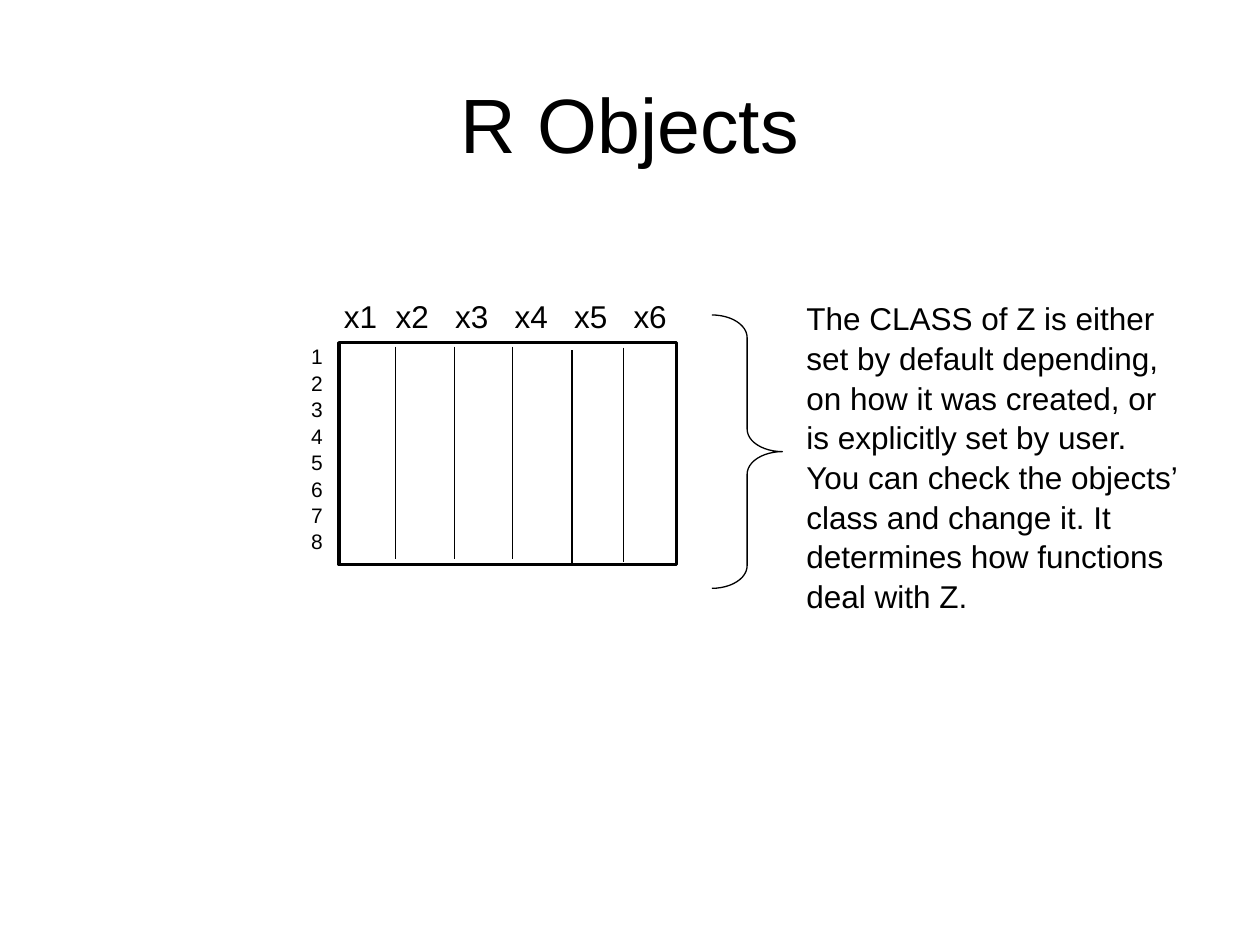
from lxml import etree
from pptx import Presentation
from pptx.dml.color import RGBColor
from pptx.enum.shapes import MSO_CONNECTOR, MSO_SHAPE
from pptx.enum.text import MSO_ANCHOR, MSO_AUTO_SIZE, PP_ALIGN
from pptx.oxml.ns import qn
from pptx.util import Inches, Pt

RECT, BRACE = MSO_SHAPE.RECTANGLE, MSO_SHAPE.RIGHT_BRACE
LINE = MSO_CONNECTOR.STRAIGHT
TOP, MIDDLE = MSO_ANCHOR.TOP, MSO_ANCHOR.MIDDLE
LEFT, CENTER = PP_ALIGN.LEFT, PP_ALIGN.CENTER
FIXED = MSO_AUTO_SIZE.NONE

WIDE, HIGH = Inches(10), Inches(7.5)
COL, ROW = WIDE / 100, HIGH / 75
COLORS = {"ink": "000000", "paper": "FFFFFF"}
FONT = "Arial"
NOTE = (
    "The CLASS of Z is either set by default depending, on how it was created, "
    "or is explicitly set by user. You can check the objects’ class and change "
    "it. It determines how functions deal with Z."
)
RULES = [(0.168, 0.3, 17.2), (0.343, 0.3, 17.2), (0.515, 0.3, 17.2),
         (0.69, 0.6, 17.5), (0.842, 0.4, 17.4)]


def color(name):
    """Return the named colour."""
    return RGBColor.from_string(COLORS[name])


def place(box):
    """Turn a box in grid columns and rows into lengths."""
    x, y, w, h = box
    return round(x * COL), round(y * ROW), round(w * COL), round(h * ROW)


def apply(item, values):
    """Set each attribute named in the dict."""
    for name, value in values.items():
        setattr(item, name, value)


def stroke(item, width):
    """Give a shape or connector an ink line."""
    item.line.color.rgb = color("ink")
    item.line.width = Pt(width)


def write(shape, text, size, frame=None, align=LEFT):
    """Fill a shape with one formatted paragraph."""
    body = shape.text_frame
    base = {"word_wrap": True, "auto_size": FIXED, "vertical_anchor": TOP,
            "margin_left": Inches(0.04), "margin_right": Inches(0.04),
            "margin_top": 0, "margin_bottom": 0}
    apply(body, base | (frame or {}))
    para = body.paragraphs[0]
    para.text = text
    apply(para, {"alignment": align, "line_spacing": 1.05})
    apply(para.font, {"name": FONT, "size": Pt(size)})
    para.font.color.rgb = color("ink")
    return para


def set_tabs(para, stops):
    """Add left tab stops, given in columns."""
    tabs = etree.SubElement(para._p.get_or_add_pPr(), qn("a:tabLst"))
    for stop in stops:
        etree.SubElement(tabs, qn("a:tab"), pos=str(round(stop * COL)), algn="l")


def add_title(slide, box):
    """Place the slide title."""
    title = slide.shapes.title
    apply(title, dict(zip(("left", "top", "width", "height"), place(box))))
    frame = {"vertical_anchor": MIDDLE, "margin_left": Inches(0.1),
             "margin_right": Inches(0.1), "margin_top": Inches(0.12),
             "margin_bottom": Inches(0.06)}
    write(title, "R Objects", 44, frame, CENTER)


def add_brace(slide, box):
    """Draw the brace between matrix and note."""
    brace = slide.shapes.add_shape(BRACE, *place(box))
    brace.shadow.inherit = False
    brace.fill.background()
    stroke(brace, 0.75)
    brace.adjustments[0] = 0.32


def add_note(slide, box):
    """Place the note on the class of Z."""
    write(slide.shapes.add_textbox(*place(box)), NOTE, 18)


def add_matrix(slide, box):
    """Draw the matrix with its column and row labels."""
    x, y, w, h = box
    parts = slide.shapes.add_group_shape().shapes
    frame = parts.add_shape(RECT, *place(box))
    frame.shadow.inherit = False
    frame.fill.solid()
    frame.fill.fore_color.rgb = color("paper")
    stroke(frame, 2)
    for share, start, end in RULES:
        left, top, _, size = place((x + w * share, y + start, 0, end - start))
        rule = parts.add_connector(LINE, left, top, left, top + size)
        stroke(rule, 0.75)
        etree.SubElement(rule._element.spPr, qn("a:effectLst"))
    heads = parts.add_textbox(*place((x, y - 3.8, 29.4, 2.8)))
    names = "\t".join(f"x{n}" for n in range(1, 7))
    set_tabs(write(heads, names, 18), [4.1 + 4.72 * n for n in range(5)])
    rows = parts.add_textbox(*place((x - 2.6, y, 4.3, 15.6)))
    write(rows, "\v".join(str(n) for n in range(1, 9)), 12)


def main():
    """Build and save the slide."""
    deck = Presentation()
    apply(deck, {"slide_width": WIDE, "slide_height": HIGH})
    slide = deck.slides.add_slide(deck.slide_layouts[5])
    add_title(slide, (5, 1, 90, 16.5))
    add_brace(slide, (56.5, 25, 5.6, 21.7))
    add_note(slide, (63.6, 23.6, 30.6, 24.7))
    add_matrix(slide, (26.9, 27.2, 26.8, 17.6))
    deck.save("out.pptx")


if __name__ == "__main__":
    main()
